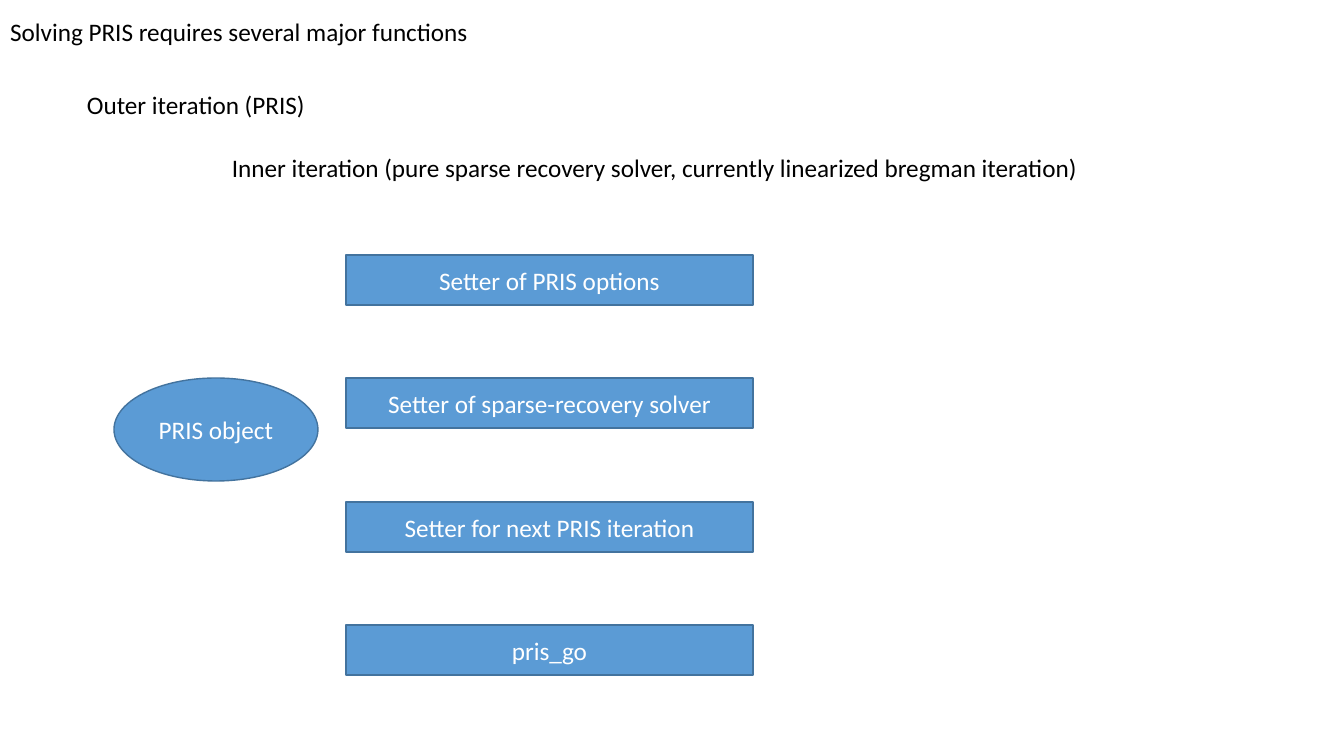
"""Build the slide on the major functions of PRIS."""
from pptx import Presentation
from pptx.dml.color import RGBColor
from pptx.enum.shapes import MSO_SHAPE as Shape
from pptx.enum.text import MSO_ANCHOR as Anchor, MSO_AUTO_SIZE as Auto, PP_ALIGN as Align
from pptx.util import Emu, Pt

BLACK = RGBColor(0x00, 0x00, 0x00)
WHITE = RGBColor(0xFF, 0xFF, 0xFF)
BLUE = RGBColor(0x5B, 0x9B, 0xD5)
EDGE = RGBColor(0x43, 0x73, 0x9E)

TITLE = ("Solving PRIS requires several major functions", (0, 11, 483, 40))
LOOPS = [
    ("Outer iteration (PRIS)", (77, 84, 241, 40)),
    ("Inner iteration (pure sparse recovery solver, currently linearized bregman iteration)",
     (222, 147, 876, 40)),
]
OBJECT = ("PRIS object", (114, 378, 204, 103))
STEPS = [
    "Setter of PRIS options",
    "Setter of sparse-recovery solver",
    "Setter for next PRIS iteration",
    "pris_go",
]
LEFT, FIRST, LAST, WIDTH, HEIGHT = 346, 255, 625, 407, 50


def px(n):
    return Emu(round(n * 914400 / 100.8))


def write(shape, text, color, align, anchor):
    frame = shape.text_frame
    frame.text = text
    frame.vertical_anchor = anchor
    para = frame.paragraphs[0]
    para.alignment = align
    font = para.runs[0].font
    font.name, font.size = "Calibri", Pt(18)
    font.color.rgb = color


def label(shape, text):
    write(shape, text, BLACK, Align.LEFT, Anchor.TOP)
    shape.text_frame.word_wrap = False
    shape.text_frame.auto_size = Auto.SHAPE_TO_FIT_TEXT


def node(slide, kind, text, box):
    shape = slide.shapes.add_shape(kind, *map(px, box))
    shape.shadow.inherit = False
    shape.fill.solid()
    shape.fill.fore_color.rgb = BLUE
    shape.line.color.rgb = EDGE
    shape.line.width = Pt(1)
    write(shape, text, WHITE, Align.CENTER, Anchor.MIDDLE)


def main():
    deck = Presentation()
    deck.slide_width, deck.slide_height = px(1344), px(756)
    slide = deck.slides.add_slide(deck.slide_layouts[5])

    text, box = TITLE
    title = slide.shapes.title
    title.left, title.top, title.width, title.height = map(px, box)
    label(title, text)
    for text, box in LOOPS:
        label(slide.shapes.add_textbox(*map(px, box)), text)

    node(slide, Shape.OVAL, *OBJECT)
    pitch = (LAST - FIRST) / (len(STEPS) - 1)
    for i, text in enumerate(STEPS):
        top = round(FIRST + i * pitch)
        node(slide, Shape.RECTANGLE, text, (LEFT, top, WIDTH, HEIGHT))
    deck.save("out.pptx")


if __name__ == "__main__":
    main()
